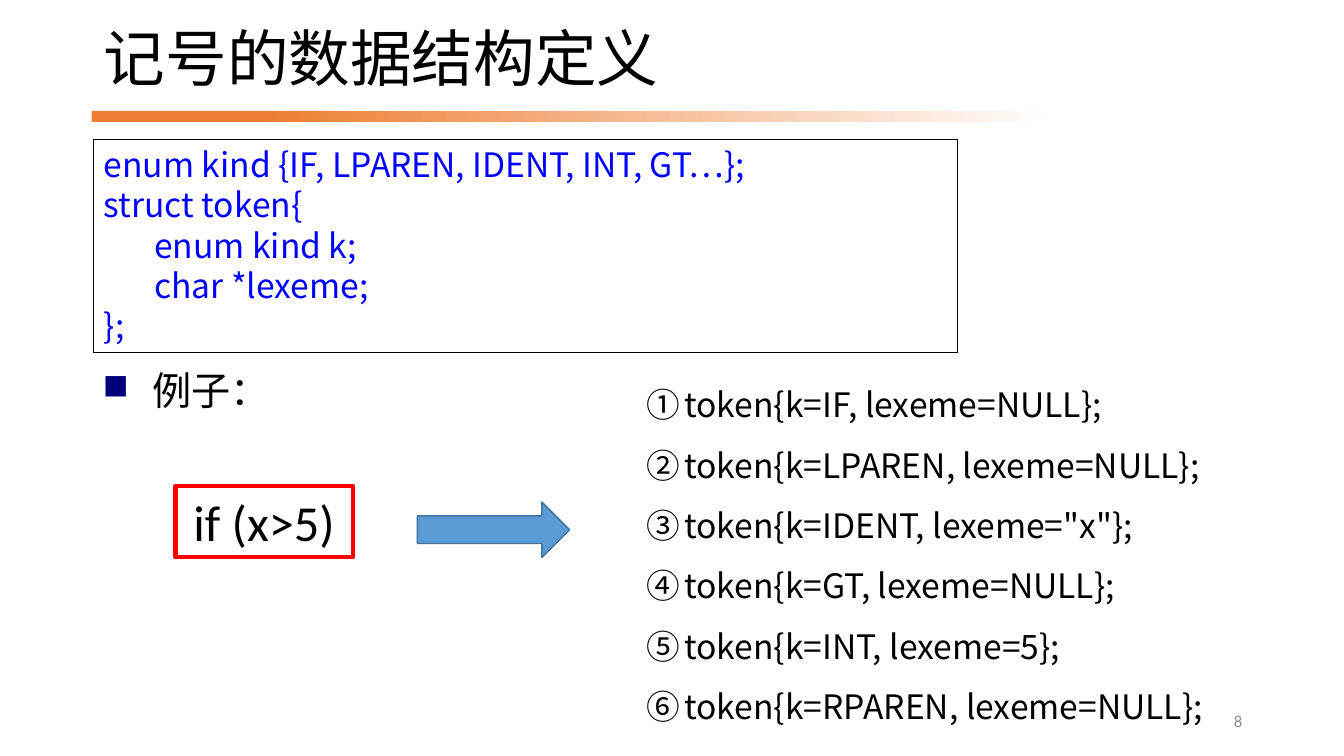
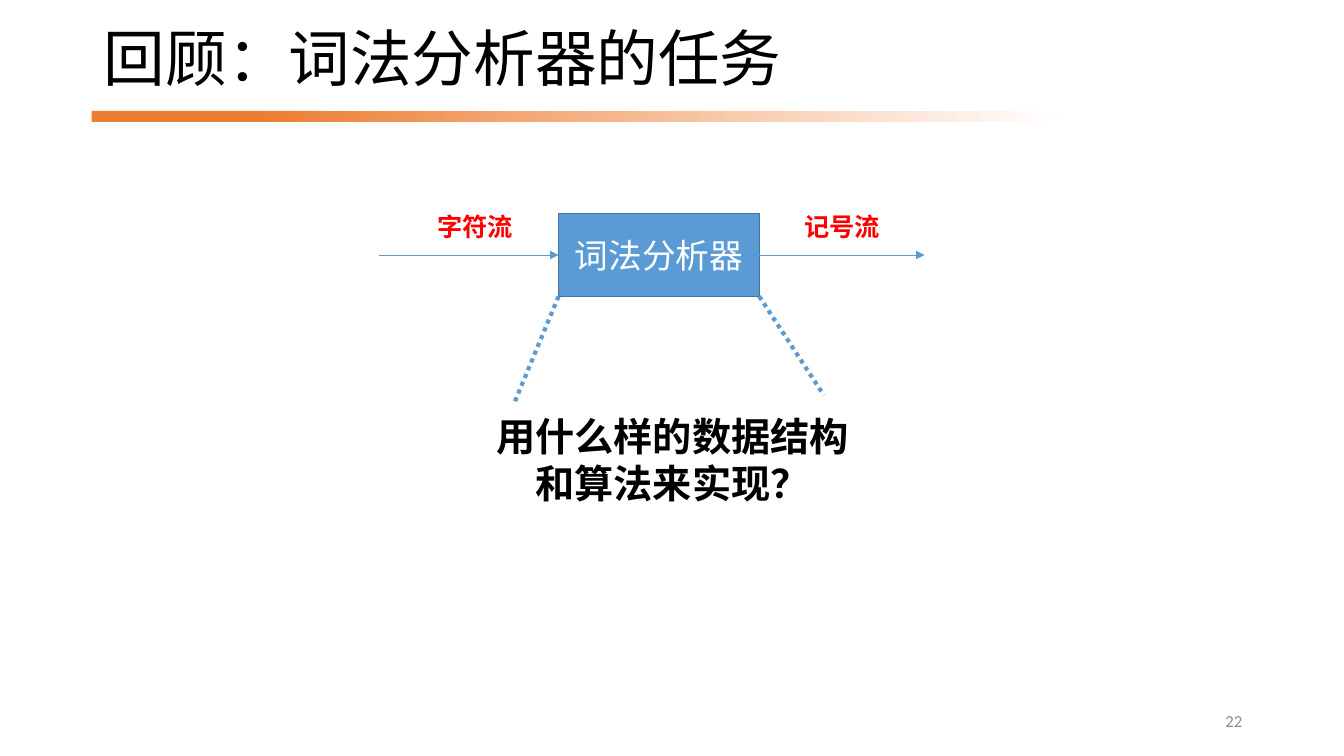
from lxml import etree
from pptx import Presentation
from pptx.dml.color import RGBColor
from pptx.enum.dml import MSO_LINE
from pptx.enum.shapes import MSO_CONNECTOR, MSO_SHAPE
from pptx.enum.text import MSO_ANCHOR, PP_ALIGN
from pptx.oxml.ns import qn
from pptx.util import Pt

PX = 9144  # EMU; 100 px to the inch

BLACK = RGBColor(0x00, 0x00, 0x00)
WHITE = RGBColor(0xFF, 0xFF, 0xFF)
ORANGE = RGBColor(0xED, 0x7D, 0x31)
BLUE = RGBColor(0x5B, 0x9B, 0xD5)
DARK_BLUE = RGBColor(0x43, 0x73, 0x9E)
CODE_BLUE = RGBColor(0x00, 0x00, 0xFF)
NAVY = RGBColor(0x00, 0x00, 0x7D)
RED = RGBColor(0xFF, 0x00, 0x00)
GREY = RGBColor(0x8C, 0x8C, 0x8C)

ARIAL, CALIBRI, NOTO = "Arial", "Calibri", "Noto Sans CJK SC"
LEFT, CENTER, RIGHT = PP_ALIGN.LEFT, PP_ALIGN.CENTER, PP_ALIGN.RIGHT
TOP, MIDDLE = MSO_ANCHOR.TOP, MSO_ANCHOR.MIDDLE
RECTANGLE, RIGHT_ARROW = MSO_SHAPE.RECTANGLE, MSO_SHAPE.RIGHT_ARROW
STRAIGHT = MSO_CONNECTOR.STRAIGHT
DOTTED = MSO_LINE.ROUND_DOT
SIDE_LEFT, SIDE_RIGHT = 1, 3
TITLE_ONLY = 5


def px(*lengths):
    return [length * PX for length in lengths]


def add_xml(parent, tag, **attributes):
    return etree.SubElement(parent, qn(tag), attributes)


def write(shape, lines, size, font=NOTO, color=BLACK, bold=False,
          align=LEFT, anchor=TOP, spacing=None):
    frame = shape.text_frame
    frame.word_wrap = True
    frame.vertical_anchor = anchor
    frame.margin_left = frame.margin_right = 10 * PX
    frame.margin_top = frame.margin_bottom = 5 * PX
    frame.text = "\n".join(lines)
    for paragraph in frame.paragraphs:
        paragraph.alignment = align
        paragraph.line_spacing = spacing
        for run in paragraph.runs:
            run.font.size = Pt(size)
            run.font.name = font
            run.font.bold = bold
            run.font.color.rgb = color
            add_xml(run.font._element, "a:ea", typeface=NOTO)


def add_text(slide, box, lines, size, **style):
    text_box = slide.shapes.add_textbox(*px(*box))
    write(text_box, lines, size, **style)
    return text_box


def add_box(slide, box, fill=None, line=None, width=1, kind=RECTANGLE):
    shape = slide.shapes.add_shape(kind, *px(*box))
    shape.shadow.inherit = False
    if fill is None:
        shape.fill.background()
    else:
        shape.fill.solid()
        shape.fill.fore_color.rgb = fill
    if line is None:
        shape.line.fill.background()
    else:
        shape.line.color.rgb = line
        shape.line.width = Pt(width)
    return shape


def add_line(slide, start, end, width):
    line = slide.shapes.add_connector(STRAIGHT, *px(*start, *end))
    line.line.color.rgb = BLUE
    line.line.width = Pt(width)
    add_xml(line._element.spPr, "a:effectLst")
    return line


def add_arrow(slide, start, end):
    arrow = add_line(slide, start, end, 0.5)
    add_xml(arrow.line._get_or_add_ln(), "a:tailEnd", type="triangle")
    return arrow


def hang(paragraph, indent):
    """Give the paragraph a hanging indent and return its properties."""
    properties = paragraph._p.get_or_add_pPr()
    properties.set("marL", str(indent * PX))
    properties.set("indent", str(-indent * PX))
    return properties


def add_framed_slide(deck, title, number):
    """Slide with the shared title, orange band and page number."""
    slide = deck.slides.add_slide(deck.slide_layouts[TITLE_ONLY])
    add_box(slide, (91, 110, 233, 11), ORANGE)
    fading_band = add_box(slide, (257, 110, 792, 11))
    fading_band.fill.gradient()
    fading_band.fill.gradient_angle = 0
    for stop, color in zip(fading_band.fill.gradient_stops, (ORANGE, WHITE)):
        stop.color.rgb = color

    heading = slide.shapes.title
    heading.left, heading.top, heading.width, heading.height = px(93, 17, 1114, 89)
    write(heading, [title], 44, font=ARIAL, anchor=MIDDLE, spacing=0.9)
    add_text(slide, (942, 695, 300, 40), [str(number)], 12, font=CALIBRI,
             color=GREY, align=RIGHT, anchor=MIDDLE)
    return slide


def build_token_slide(deck):
    slide = add_framed_slide(deck, "记号的数据结构定义", 8)

    # Type definition
    definition = add_box(slide, (93, 138, 857, 212), line=BLACK, width=0.75)
    write(definition, ["enum kind {IF, LPAREN, IDENT, INT, GT…};", "struct token{",
                       "\tenum kind k;", "\tchar *lexeme;", "};"],
          24, color=CODE_BLUE)

    # Example heading with a square bullet
    example = add_text(slide, (92, 364, 500, 89), ["例子："], 28, font=ARIAL, spacing=0.9)
    bullet = hang(example.text_frame.paragraphs[0], 49)
    add_xml(add_xml(bullet, "a:buClr"), "a:srgbClr", val=str(NAVY))
    add_xml(bullet, "a:buSzPct", val="90000")
    add_xml(bullet, "a:buChar", char="■")

    # Source code, arrow and resulting tokens
    source_code = add_box(slide, (174, 482, 176, 71), line=RED, width=3)
    write(source_code, ["if (x>5)"], 36, font=CALIBRI, align=CENTER)
    add_box(slide, (414, 498, 151, 55), BLUE, DARK_BLUE, kind=RIGHT_ARROW)

    fields = [("IF", "NULL"), ("LPAREN", "NULL"), ("IDENT", '"x"'),
              ("GT", "NULL"), ("INT", "5"), ("RPAREN", "NULL")]
    tokens = add_text(slide, (631, 356, 639, 366),
                      [f"token{{k={kind}, lexeme={lexeme}}};" for kind, lexeme in fields],
                      24, spacing=1.5)
    for paragraph in tokens.text_frame.paragraphs:
        add_xml(hang(paragraph, 38), "a:buAutoNum", type="circleNumDbPlain")


def build_review_slide(deck):
    slide = add_framed_slide(deck, "回顾：词法分析器的任务", 22)

    # Lexer with its input and output
    lexer = add_box(slide, (554, 212, 199, 82), BLUE, DARK_BLUE)
    write(lexer, ["词法分析器"], 24, color=WHITE, align=CENTER, anchor=MIDDLE)
    add_arrow(slide, (376, 253), (554, 253)).end_connect(lexer, SIDE_LEFT)
    add_arrow(slide, (753, 253), (917, 253)).begin_connect(lexer, SIDE_RIGHT)
    for left, stream in ((423, "字符流"), (787, "记号流")):
        add_text(slide, (left, 205, 96, 40), [stream], 18,
                 color=RED, bold=True, align=CENTER)

    # Question hanging from the lexer
    add_text(slide, (470, 404, 394, 104), ["用什么样的数据结构和算法来实现？"], 28,
             bold=True, align=CENTER)
    for corner, end in (((554, 294), (510, 400)), ((753, 294), (817, 392))):
        add_line(slide, corner, end, 3).line.dash_style = DOTTED


def main():
    deck = Presentation()
    deck.slide_width, deck.slide_height = px(1333, 750)
    build_token_slide(deck)
    build_review_slide(deck)
    deck.save("out.pptx")


if __name__ == "__main__":
    main()
